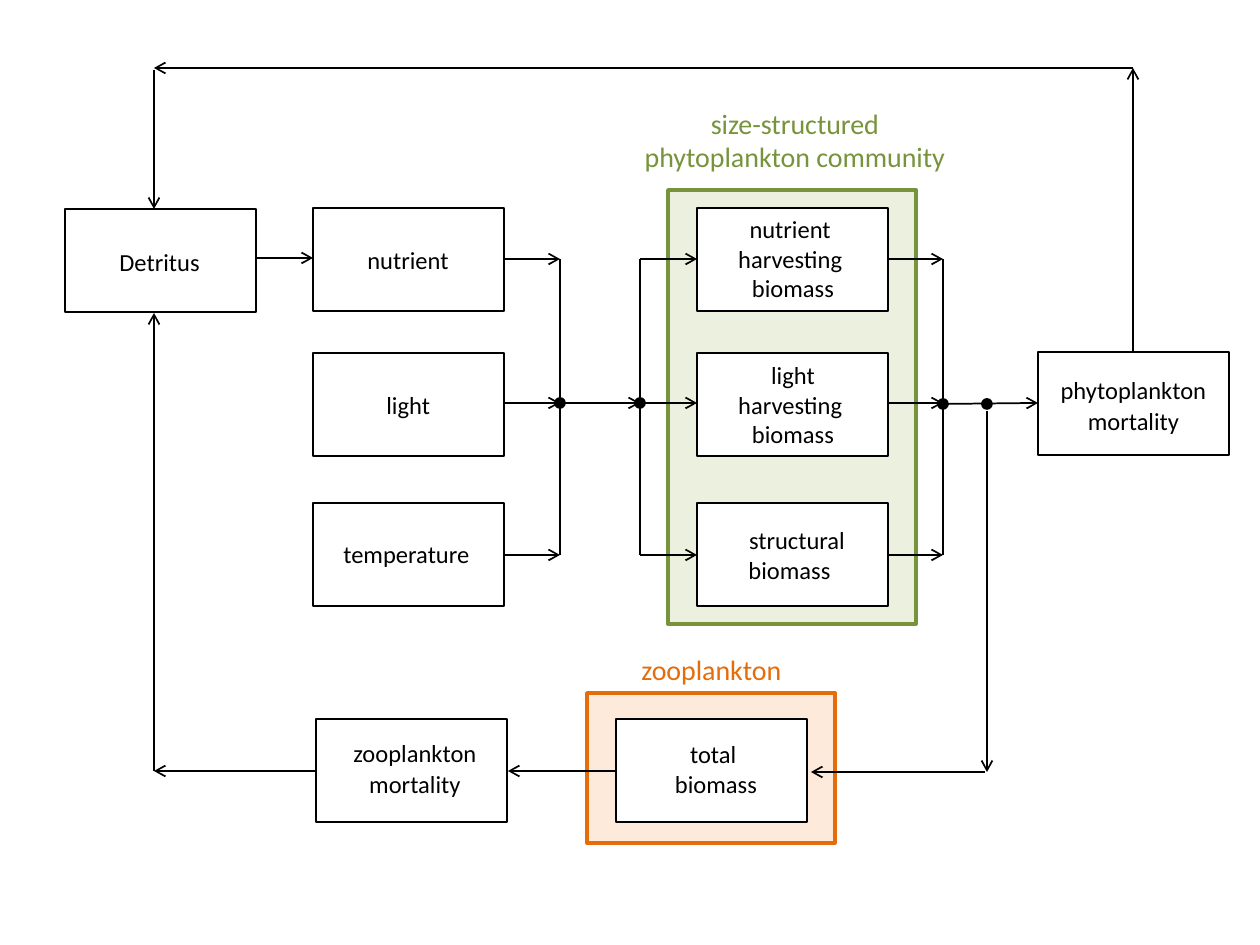
from pptx import Presentation, util as u
from pptx.dml.color import RGBColor
from pptx.enum import shapes, text
from pptx.oxml.ns import qn
from lxml import etree

PX = 914400 // 126
BLACK = RGBColor(0, 0, 0)
WHITE = RGBColor(255, 255, 255)
GREEN = RGBColor(0x77, 0x93, 0x3C)
PALE_GREEN = RGBColor(0xEB, 0xF1, 0xDE)
ORANGE = RGBColor(0xE4, 0x6C, 0x0A)
PALE_ORANGE = RGBColor(0xFD, 0xEA, 0xDA)
LEFT, CENTER = text.PP_ALIGN.LEFT, text.PP_ALIGN.CENTER

# Frames: left, top, width, height, fill, line
FRAMES = [
    (587, 693, 248, 150, PALE_ORANGE, ORANGE),
    (668, 190, 248, 434, PALE_GREEN, GREEN),
]

# Boxes of one size: left, top, fill
BOX_W, BOX_H = 191, 103
INPUT_X, BIOMASS_X = 313, 697
ROW_TOPS = (208, 353, 503)
BOXES = [(x, y, fill) for x, fill in ((INPUT_X, None), (BIOMASS_X, WHITE))
         for y in ROW_TOPS]
BOXES += [(65, 209, None), (1038, 352, None), (616, 719, WHITE), (316, 719, None)]

# Junctions where the three rows meet and part
ROW_Y = (259, 403, 555)
MERGE_X, SPLIT_X, HARVEST_X, GRAZE_X = 560, 640, 943, 987
DOTS = [(MERGE_X, 403), (SPLIT_X, 403), (HARVEST_X, 404), (GRAZE_X, 404)]
DOT = 10

# Arrows point from the first end to the second
ARROWS = [(x1, y, x2, y) for y in ROW_Y for x1, x2 in
          ((INPUT_X + BOX_W, MERGE_X), (SPLIT_X, BIOMASS_X),
           (BIOMASS_X + BOX_W, HARVEST_X))]
ARROWS += [
    (MERGE_X, 403, SPLIT_X, 403),
    (HARVEST_X, 404, 1038, 403),
    (256, 258, 313, 258),
    (616, 771, 508, 771),
    (316, 771, 154, 771),
    (985, 772, 811, 772),
    (GRAZE_X, 411, GRAZE_X, 772),
    (1133, 352, 1133, 68),
    (1133, 68, 154, 68),
    (154, 70, 154, 209),
    (154, 771, 154, 313),
]
TRUNKS = [(x, ROW_Y[0], x, ROW_Y[-1]) for x in (MERGE_X, SPLIT_X, HARVEST_X)]

# Labels: left, top, width, height, wrap, size, colour, lines;
# a line is its alignment and its runs, a run being text and an optional size
LABELS = [
    (630, 100, 330, 81, False, 16, GREEN,
     [(CENTER, "size-structured"), (CENTER, "phytoplankton community")]),
    (713, 208, 160, 102, True, 14, BLACK,
     [(CENTER, "nutrient "), (CENTER, "harvesting "), (CENTER, "biomass")]),
    (713, 354, 160, 102, True, 14, BLACK,
     [(CENTER, "light"), (CENTER, "harvesting "), (CENTER, "biomass")]),
    (736, 519, 122, 72, False, 14, BLACK,
     [(CENTER, "structural "), (LEFT, "biomass")]),
    (355, 239, 107, 43, False, 14, BLACK, [(LEFT, "nutrient")]),
    (374, 384, 69, 43, False, 14, BLACK, [(LEFT, "light")]),
    (331, 533, 152, 43, False, 14, BLACK, [(LEFT, "temperature")]),
    (107, 241, 106, 43, False, 14, BLACK, [(LEFT, "Detritus")]),
    (1047, 362, 173, 81, False, 14, BLACK,
     [(CENTER, "phytoplankton", (" ", 18)), (CENTER, "mortality")]),
    (340, 725, 150, 81, False, 14, BLACK,
     [(CENTER, "zooplankton", (" ", 18)), (CENTER, "mortality")]),
    (662, 733, 108, 72, False, 14, BLACK,
     [(CENTER, "total "), (CENTER, "biomass")]),
    (629, 646, 178, 47, True, 16, ORANGE, [(LEFT, "zooplankton ")]),
]


def emu(*pixels):
    """Turn pixel lengths into EMU."""
    return [u.Emu(round(v * PX)) for v in pixels]


def add_block(s, kind, x, y, w, h, fill, line, width):
    """Add a preset shape with its fill and outline."""
    sp = s.shapes.add_shape(kind, *emu(x, y, w, h))
    sp.shadow.inherit = False
    if fill is None:
        sp.fill.background()
    else:
        sp.fill.solid()
        sp.fill.fore_color.rgb = fill
    sp.line.color.rgb = line
    sp.line.width = u.Pt(width)


def add_line(s, ends, arrow):
    """Add a thin black line, with an arrowhead at its end if asked."""
    cx = s.shapes.add_connector(shapes.MSO_CONNECTOR.STRAIGHT, *emu(*ends))
    cx.line.color.rgb = BLACK
    cx.line.width = u.Pt(1)
    if arrow:
        etree.SubElement(cx.line._get_or_add_ln(), qn("a:tailEnd"), type="arrow")
    etree.SubElement(cx._element.spPr, qn("a:effectLst"))


def add_label(s, x, y, w, h, wrap, size, color, lines):
    """Add a text box, one paragraph a line."""
    tf = s.shapes.add_textbox(*emu(x, y, w, h)).text_frame
    tf.word_wrap = wrap
    tf.auto_size = text.MSO_AUTO_SIZE.SHAPE_TO_FIT_TEXT
    for i, (align, *runs) in enumerate(lines):
        p = tf.add_paragraph() if i else tf.paragraphs[0]
        p.alignment = align
        for run in runs:
            words, pt = (run, size) if isinstance(run, str) else run
            r = p.add_run()
            r.text = words
            for name, value in {"name": "Calibri", "size": u.Pt(pt)}.items():
                setattr(r.font, name, value)
            r.font.color.rgb = color


prs = Presentation()
prs.slide_width, prs.slide_height = u.Inches(10), u.Inches(7.5)
s = prs.slides.add_slide(prs.slide_layouts[6])
RECT, OVAL = shapes.MSO_SHAPE.RECTANGLE, shapes.MSO_SHAPE.OVAL

for x, y, w, h, fill, line in FRAMES:
    add_block(s, RECT, x, y, w, h, fill, line, 2)
for x, y, fill in BOXES:
    add_block(s, RECT, x, y, BOX_W, BOX_H, fill, BLACK, 1.5)
for ends in ARROWS:
    add_line(s, ends, True)
for ends in TRUNKS:
    add_line(s, ends, False)
for x, y in DOTS:
    add_block(s, OVAL, x - DOT / 2, y - DOT / 2, DOT, DOT, BLACK, BLACK, 1)
for label in LABELS:
    add_label(s, *label)

prs.save("out.pptx")
